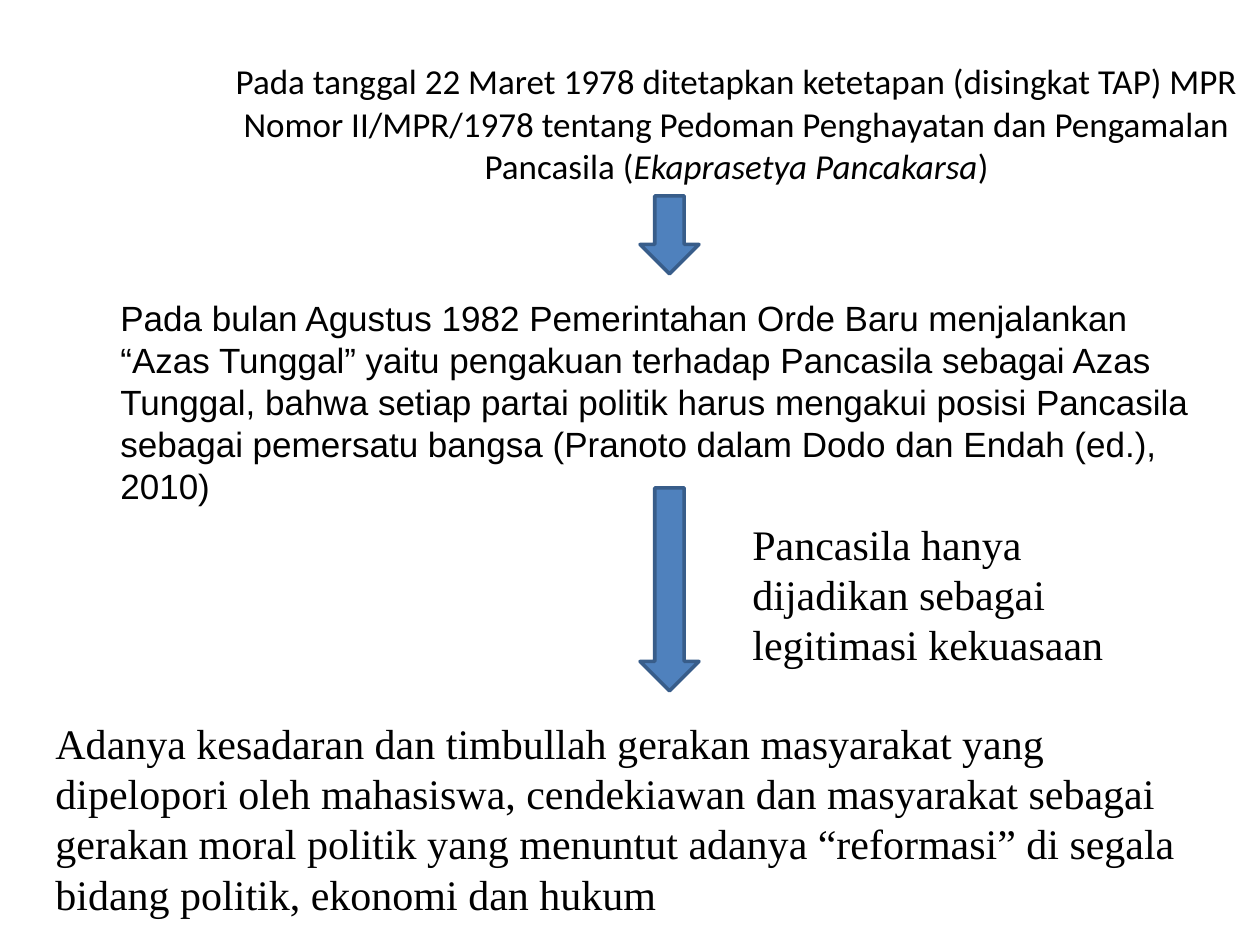
from dataclasses import dataclass

from pptx import Presentation
from pptx.dml.color import RGBColor
from pptx.enum.shapes import MSO_SHAPE as Shape
from pptx.enum.text import MSO_ANCHOR as Anchor, PP_ALIGN as Align
from pptx.util import Emu, Pt

PX = 914400 / 126  # EMU in one px


@dataclass(frozen=True)
class Theme:
    text: RGBColor = RGBColor(0x00, 0x00, 0x00)
    arrow: RGBColor = RGBColor(0x4F, 0x81, 0xBD)
    arrow_line: RGBColor = RGBColor(0x38, 0x5D, 0x8A)
    line_width: Pt = Pt(2)
    small: Pt = Pt(20)
    large: Pt = Pt(24)
    title_font: str = "Calibri"
    body_font: str = "Arial"
    note_font: str = "Times New Roman"


THEME = Theme()


def px(*lengths):
    return [Emu(round(n * PX)) for n in lengths]


def add_text(slide, box, parts, font, size, align=Align.LEFT, anchor=Anchor.TOP):
    """Add one paragraph; every second part is italic."""
    tf = slide.shapes.add_textbox(*px(*box)).text_frame
    tf.word_wrap = True
    tf.vertical_anchor = anchor
    p = tf.paragraphs[0]
    p.alignment = align
    for i, part in enumerate(parts):
        r = p.add_run()
        r.text = part
        r.font.name = font
        r.font.size = size
        r.font.italic = i % 2 == 1
        r.font.color.rgb = THEME.text


def add_down_arrow(slide, box):
    sp = slide.shapes.add_shape(Shape.DOWN_ARROW, *px(*box))
    sp.shadow.inherit = False
    sp.fill.solid()
    sp.fill.fore_color.rgb = THEME.arrow
    sp.line.color.rgb = THEME.arrow_line
    sp.line.width = THEME.line_width


def main():
    prs = Presentation()
    prs.slide_width, prs.slide_height = px(1260, 945)
    slide = prs.slides.add_slide(prs.slide_layouts[6])

    # Decree of 1978
    add_text(slide, (213, 44, 1047, 158), [
        "Pada tanggal 22 Maret 1978 ditetapkan ketetapan (disingkat TAP) MPR "
        "Nomor II/MPR/1978 tentang Pedoman Penghayatan dan Pengamalan "
        "Pancasila (", "Ekaprasetya Pancakarsa", ")",
    ], THEME.title_font, THEME.small, Align.CENTER, Anchor.MIDDLE)

    # Single principle of 1982
    add_text(slide, (108, 290, 1111, 223), [
        "Pada bulan Agustus 1982 Pemerintahan Orde Baru menjalankan "
        "“Azas Tunggal” yaitu pengakuan terhadap Pancasila sebagai Azas "
        "Tunggal, bahwa setiap partai politik harus mengakui posisi Pancasila "
        "sebagai pemersatu bangsa (Pranoto dalam Dodo dan Endah (ed.), 2010)",
    ], THEME.body_font, THEME.small)

    # Arrows between the steps
    for top, height in ((196, 78), (488, 203)):
        add_down_arrow(slide, (640, top, 59, height))

    # Reform movement
    add_text(slide, (43, 711, 1181, 214), [
        "Adanya kesadaran dan timbullah gerakan masyarakat yang dipelopori "
        "oleh mahasiswa, cendekiawan dan masyarakat sebagai gerakan moral "
        "politik yang menuntut adanya “reformasi” di segala bidang politik, "
        "ekonomi dan hukum",
    ], THEME.note_font, THEME.large)

    # Note beside the second arrow
    add_text(slide, (740, 512, 446, 164), [
        "Pancasila hanya dijadikan sebagai legitimasi kekuasaan",
    ], THEME.note_font, THEME.large)

    prs.save("out.pptx")


if __name__ == "__main__":
    main()
